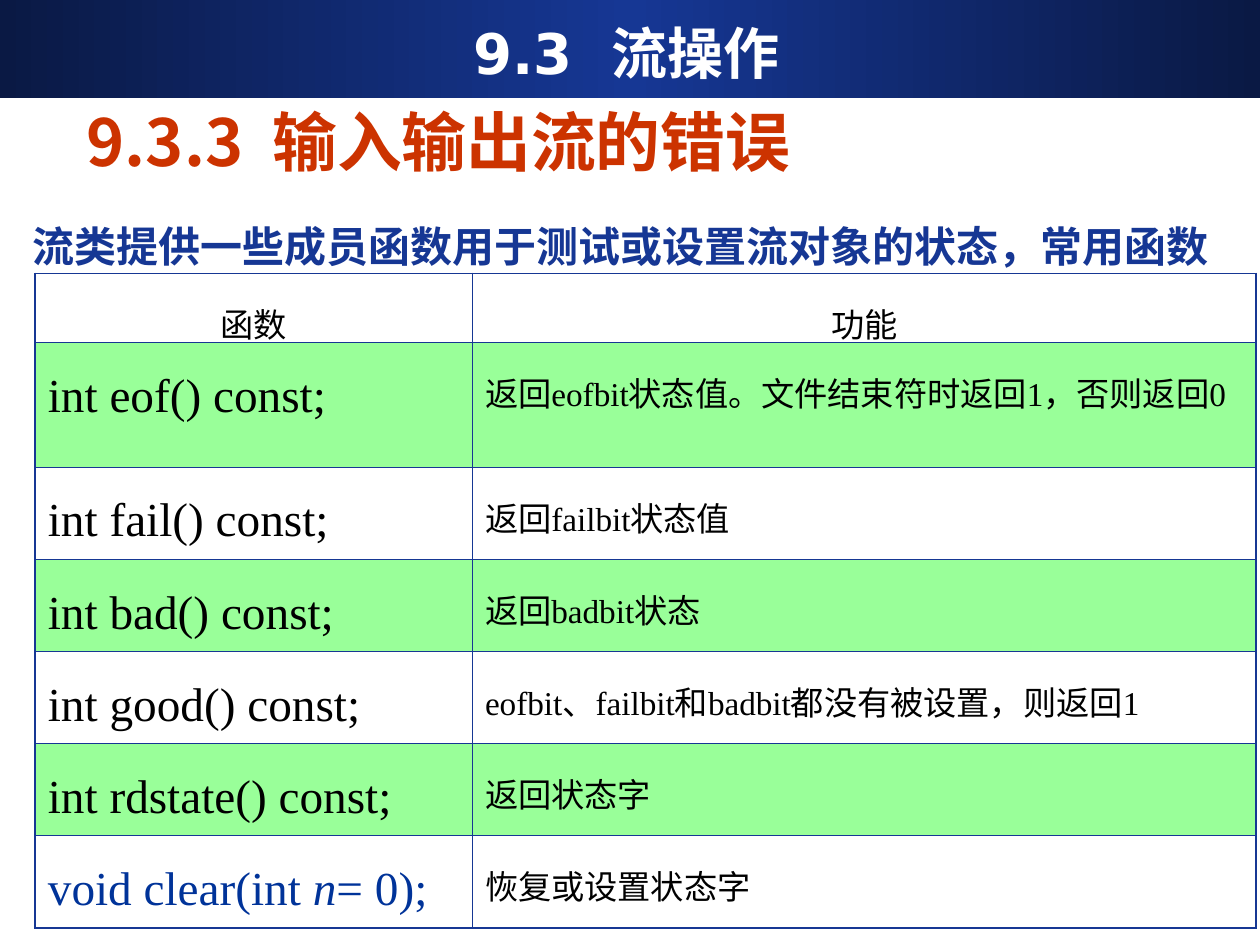
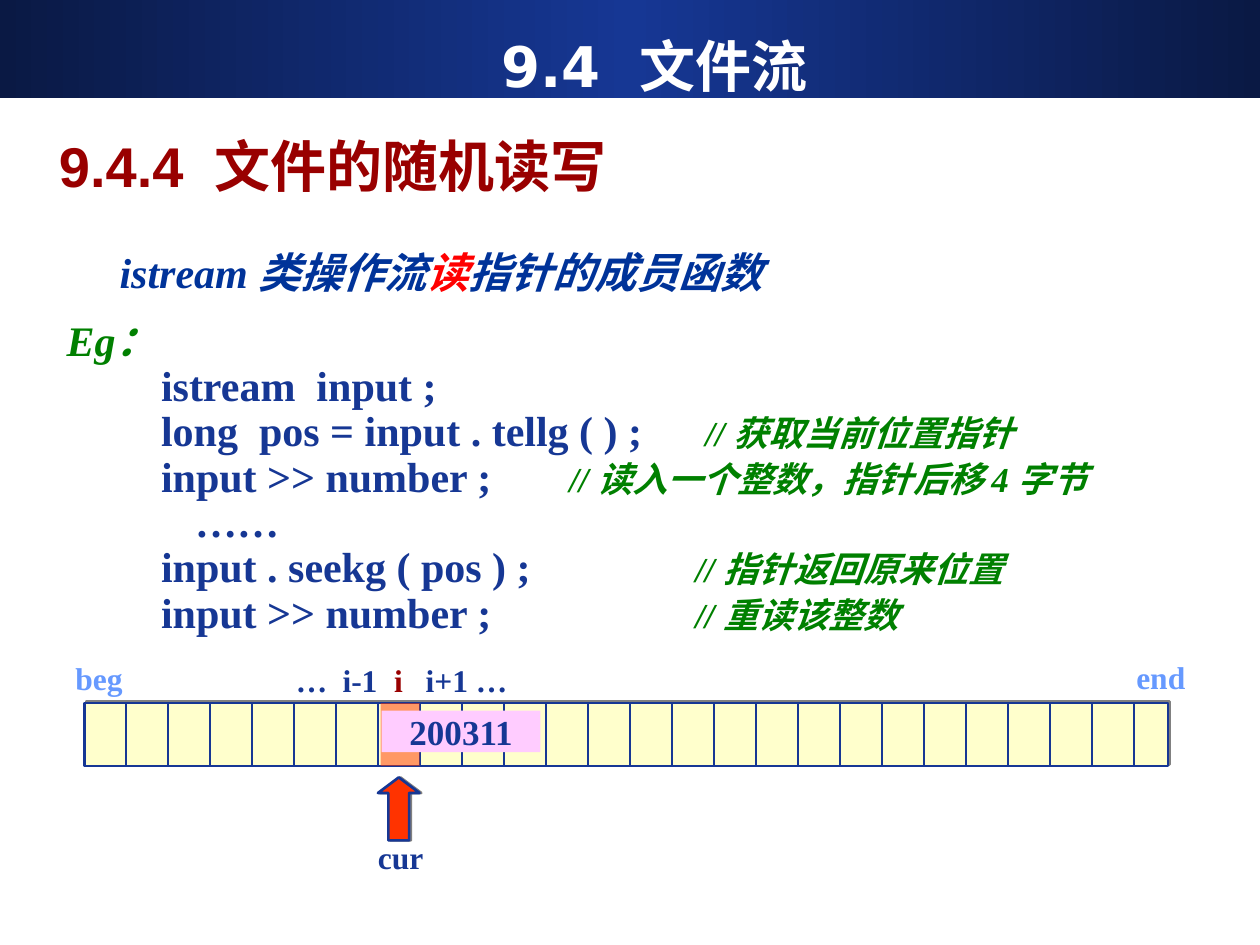
from lxml.etree import SubElement
from pptx import Presentation
from pptx.dml.color import RGBColor
from pptx.enum.shapes import MSO_CONNECTOR as Connector, MSO_SHAPE as Preset
from pptx.enum.text import MSO_ANCHOR as Anchor, PP_ALIGN as Align
from pptx.oxml.ns import qn
from pptx.util import Inches, Pt

COLORS = {
    "navy": "163794", "night": "0A1944", "white": "FFFFFF", "black": "000000",
    "mint": "99FF99", "blue": "003399", "orange": "CC3300", "crimson": "990000",
    "red": "FF0000", "green": "008000", "sky": "6699FF", "cream": "FFFFCC",
    "flame": "FF3300", "pink": "FFCCFF", "gray": "808080",
}
SERIF = "Times New Roman"
CHINESE = "Noto Sans CJK SC"

FUNCTIONS = [
    ("int eof() const;", "返回eofbit状态值。文件结束符时返回1，否则返回0"),
    ("int fail() const;", "返回failbit状态值"),
    ("int bad() const;", "返回badbit状态"),
    ("int good() const;", "eofbit、failbit和badbit都没有被设置，则返回1"),
    ("int rdstate() const;", "返回状态字"),
    ([("void clear(int ", {}), ("n", {"italic": True}), ("= 0);", {})], "恢复或设置状态字"),
]
COMMENT = {"size": 20, "color": "green", "italic": True}
CODE_INDENT = 0.75
CODE = [
    ("istream  input ;", "", 0),
    ("long  pos = input . tellg ( ) ;", "// 获取当前位置指针", 5.07),
    ("input >> number ;", "// 读入一个整数，指针后移 4 字节", 3.99),
    ("……", "", 0),
    ("input . seekg ( pos ) ;", "// 指针返回原来位置", 4.99),
    ("input >> number ;", "// 重读该整数", 4.99),
]


def rgb(name):
    return RGBColor.from_string(COLORS[name])


def add_color(parent, name):
    return SubElement(parent, qn("a:srgbClr"), val=COLORS[name])


class Deck:
    def __init__(self):
        self.presentation = Presentation()
        self.presentation.slide_width = Inches(10)
        self.presentation.slide_height = Inches(7.5)
        self.slide = None

    def new_slide(self, title, left, top):
        self.slide = self.presentation.slides.add_slide(self.presentation.slide_layouts[6])
        band = self.shape(Preset.RECTANGLE, 0, 0, 10, 0.78, "navy")
        band.fill.gradient()
        band.fill.gradient_angle = 0
        stops = band._element.spPr.find(".//" + qn("a:gsLst"))
        stops.clear()
        for percent, name in ((0, "night"), (50, "navy"), (100, "night")):
            add_color(SubElement(stops, qn("a:gs"), pos=str(percent * 1000)), name)
        self.text(left, top, 9.25, 0.62, title, anchor=Anchor.MIDDLE, align=Align.CENTER,
                  size=32, color="white", bold=True, name="DejaVu Sans")

    def style(self, font, size=None, color=None, bold=None, italic=None, name=None):
        if size:
            font.size = Pt(size)
        if color:
            font.color.rgb = rgb(color)
        if bold is not None:
            font.bold = bold
        if italic is not None:
            font.italic = italic
        if name:
            font.name = name
            SubElement(font._element, qn("a:ea"), typeface=CHINESE)

    def compose(self, paragraph, content, align=Align.LEFT, spacing=1.0, before=0, tabs=(),
                **font):
        paragraph.alignment = align
        paragraph.line_spacing = spacing
        paragraph.space_before = Pt(before)
        if tabs:
            tab_list = SubElement(paragraph._p.get_or_add_pPr(), qn("a:tabLst"))
            for position in tabs:
                SubElement(tab_list, qn("a:tab"), pos=str(Inches(position)), algn="l")
        self.style(paragraph.font, **font)
        for words, changes in [(content, {})] if isinstance(content, str) else content:
            run = paragraph.add_run()
            run.text = words
            self.style(run.font, **changes)

    def text(self, left, top, width, height, content="", wrap=True, anchor=Anchor.TOP, **look):
        box = self.slide.shapes.add_textbox(
            Inches(left), Inches(top), Inches(width), Inches(height))
        frame = box.text_frame
        frame.word_wrap = wrap
        frame.vertical_anchor = anchor
        if content:
            self.compose(frame.paragraphs[0], content, **look)
        return frame

    def label(self, left, top, width, height, content, color="navy", **look):
        self.text(left, top, width, height, content, size=18, color=color,
                  bold=True, name=SERIF, **look)

    def shape(self, preset, left, top, width, height, fill, line=None, alpha=None, shadow=None):
        shape = self.slide.shapes.add_shape(
            preset, Inches(left), Inches(top), Inches(width), Inches(height))
        shape.shadow.inherit = False
        shape.fill.solid()
        shape.fill.fore_color.rgb = rgb(fill)
        if alpha:
            tint = shape._element.spPr.find(qn("a:solidFill")).find(qn("a:srgbClr"))
            SubElement(tint, qn("a:alpha"), val=str(alpha * 1000))
        if line:
            shape.line.color.rgb = rgb(line)
            shape.line.width = Pt(1.5)
        else:
            shape.line.fill.background()
        if shadow:
            distance, angle = shadow
            effects = shape._element.spPr.find(qn("a:effectLst"))
            outer = SubElement(effects, qn("a:outerShdw"), dist=str(Pt(distance)),
                               dir=str(angle * 60000), algn="ctr", rotWithShape="0")
            add_color(outer, "gray")
        return shape

    def line(self, x1, y1, x2, y2):
        line = self.slide.shapes.add_connector(
            Connector.STRAIGHT, Inches(x1), Inches(y1), Inches(x2), Inches(y2))
        line.line.color.rgb = rgb("navy")
        line.line.width = Pt(1.5)
        SubElement(line._element.spPr, qn("a:effectLst"))

    def cell(self, cell, content, fill, outer_sides, **look):
        properties = cell._tc.get_or_add_tcPr()
        for side in "LRTB":
            width = Pt(1.08 if side in outer_sides else 0.45)
            border = SubElement(properties, qn(f"a:ln{side}"), w=str(width))
            add_color(SubElement(border, qn("a:solidFill")), "navy")
        cell.fill.solid()
        cell.fill.fore_color.rgb = rgb(fill)
        self.compose(cell.text_frame.paragraphs[0], content, spacing=1.4,
                     bold=False, name=SERIF, **look)

    def table(self, left, top, widths, heights):
        frame = self.slide.shapes.add_table(
            len(heights), len(widths), Inches(left), Inches(top),
            Inches(sum(widths)), Inches(sum(heights)))
        table = frame.table
        table.first_row = table.horz_banding = False
        for column, width in zip(table.columns, widths):
            column.width = Inches(width)
        for row, height in zip(table.rows, heights):
            row.height = Inches(height)
        return table


def build_error_slide(deck):
    deck.new_slide("9.3  流操作", 0.35, 0.1)
    deck.text(0.16, 1.62, 9.53, 0.58, "流类提供一些成员函数用于测试或设置流对象的状态，常用函数",
              wrap=False, align=Align.RIGHT, spacing=1.2, size=24, color="navy",
              bold=True, name="Arial")
    deck.text(0.59, 0.14, 8.75, 1.33, "9.3.3  输入输出流的错误", anchor=Anchor.BOTTOM,
              size=37, color="orange", bold=True, name=CHINESE)

    table = deck.table(0.28, 2.17, [3.47, 6.22], [0.55, 0.99] + [0.73] * 5)
    for column, heading in enumerate(("函数", "功能")):
        deck.cell(table.cell(0, column), heading, "white", "T" + "LR"[column],
                  align=Align.CENTER, before=11.9, size=19, color="black")
    last = len(FUNCTIONS)
    for row, (signature, purpose) in enumerate(FUNCTIONS, 1):
        fill = "mint" if row % 2 else "white"
        bottom = "B" if row == last else ""
        deck.cell(table.cell(row, 0), signature, fill, "L" + bottom, align=Align.JUSTIFY,
                  before=16.9, size=27, color="blue" if row == last else "black")
        deck.cell(table.cell(row, 1), purpose, fill, "R" + bottom,
                  before=11.9, size=19, color="black")


def build_random_access_slide(deck):
    deck.new_slide("9.4  文件流", 0.57, 0.21)
    deck.text(0.37, 0.99, 4.66, 0.64, "9.4.4  文件的随机读写", wrap=False, anchor=Anchor.MIDDLE,
              size=32, color="crimson", bold=True, name="Arial")
    deck.text(0.81, 1.55, 5.38, 0.86,
              [("istream 类操作流", {}), ("读", {"color": "red"}), ("指针的成员函数", {})],
              wrap=False, align=Align.CENTER, spacing=1.9, size=24, color="blue",
              bold=True, italic=True, name=SERIF)

    code = deck.text(0.43, 2.49, 9.1, 2.62)
    code_look = {"spacing": 0.9, "size": 24, "bold": True, "name": SERIF}
    deck.compose(code.paragraphs[0], "Eg：", color="green", italic=True, **code_look)
    for statement, comment, stop in CODE:
        runs = [("\t" + statement, {})]
        tabs = [1.02 if statement == "……" else CODE_INDENT]
        if comment:
            runs += [("\t", {}), (comment, COMMENT)]
            tabs.append(stop)
        deck.compose(code.add_paragraph(), runs, tabs=tabs, color="navy", **code_look)

    top, height = 5.58, 0.5
    deck.shape(Preset.RECTANGLE, 0.67, top, 8.6, height, "cream", "navy", shadow=(1.4, 315))
    for index in range(25):
        x = 1 + index / 3
        deck.line(x, top, x, top + height)
    deck.label(0.5, 5.18, 0.67, 0.4, "beg", "sky", before=11.2)
    deck.label(8.92, 5.17, 0.67, 0.4, "end", "sky", before=11.2)

    pointer = deck.shape(Preset.UP_ARROW, 3, 6.17, 0.33, 0.5, "flame", "navy", shadow=(1, 0))
    pointer.adjustments[0] = 0.5
    pointer.adjustments[1] = 0.375
    deck.shape(Preset.RECTANGLE, 3.02, top, 0.31, height, "flame", alpha=50)
    deck.label(2.9, 6.66, 0.56, 0.34, "cur", wrap=False, align=Align.CENTER, spacing=0.8)
    deck.label(2.25, 5.3, 1.98, 0.28,
               [("…\ti-1\t", {}), ("i", {"color": "crimson"}), ("\ti+1 …", {})],
               spacing=0.6, tabs=(0.37, 0.78, 1.03))

    value = deck.shape(Preset.RECTANGLE, 3.03, 5.64, 1.26, 0.33, "pink").text_frame
    value.word_wrap = False
    value.vertical_anchor = Anchor.MIDDLE
    deck.compose(value.paragraphs[0], "200311", align=Align.CENTER, size=20, color="navy",
                 bold=True, name=SERIF)


def main():
    deck = Deck()
    build_error_slide(deck)
    build_random_access_slide(deck)
    deck.presentation.save("out.pptx")


if __name__ == "__main__":
    main()
